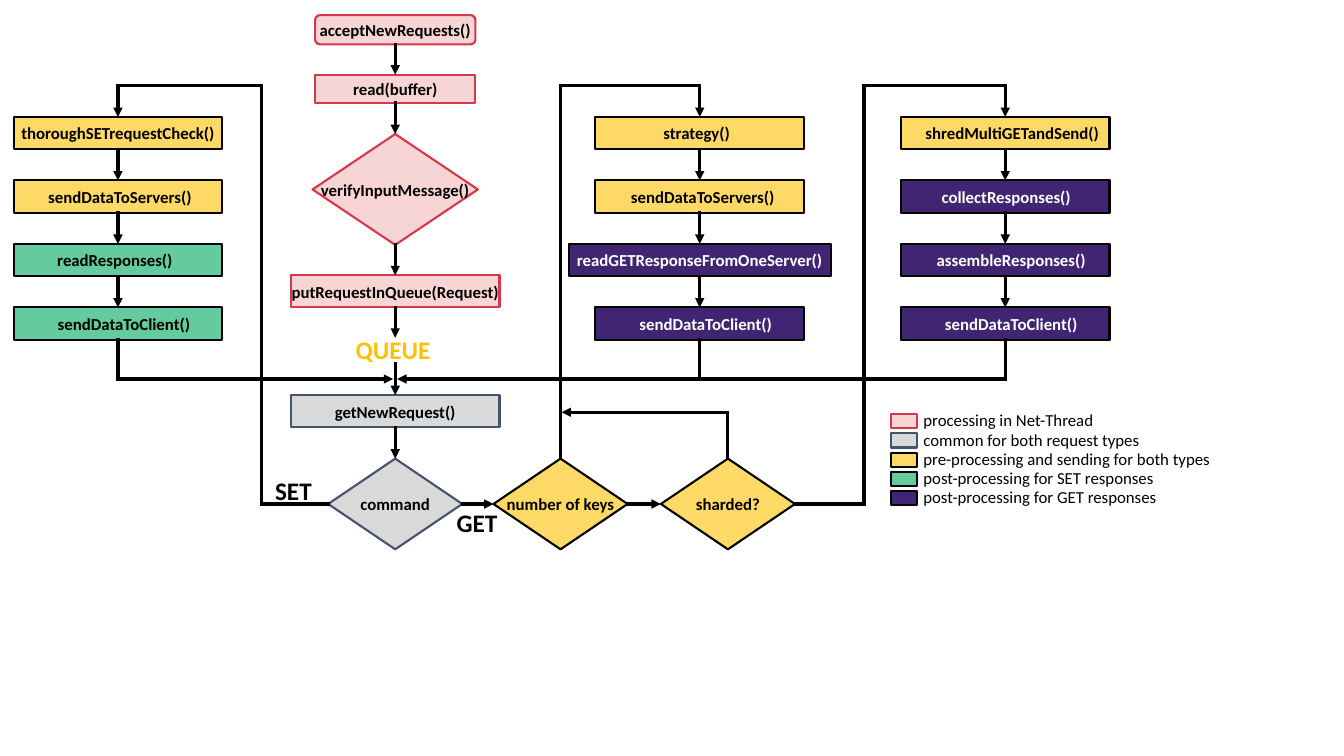
from itertools import pairwise

from lxml.etree import SubElement
from pptx import Presentation
from pptx.dml.color import RGBColor
from pptx.enum.shapes import MSO_CONNECTOR, MSO_SHAPE
from pptx.enum.text import MSO_ANCHOR, MSO_AUTO_SIZE, PP_ALIGN
from pptx.oxml.ns import qn
from pptx.util import Inches, Pt

TOP, LEFT, BOTTOM, RIGHT = range(4)
RECT, ROUND = MSO_SHAPE.RECTANGLE, MSO_SHAPE.ROUNDED_RECTANGLE
CHOICE = MSO_SHAPE.FLOWCHART_DECISION

NET = "F7D5D5", "D43849", "000000"
BOTH = "D9D9D9", "44546A", "000000"
PRE = "FFD966", "000000", "000000"
SET = "63CB9D", "000000", "000000"
GET = "422572", "000000", "FFFFFF"

MAIN_X = 3.92
MERGE_Y = 3.76
LOOP_Y = 0.85
LANES = [
    (1.17, [("thoroughSETrequestCheck()", PRE, 2.07, 0),
            ("sendDataToServers()", PRE, 2.07, 0.02),
            ("readResponses()", SET, 2.07, -0.03),
            ("sendDataToClient()", SET, 2.07, 0.06)]),
    (6.94, [("strategy()", PRE, 2.07, -0.03),
            ("sendDataToServers()", PRE, 2.07, 0.03),
            ("readGETResponseFromOneServer()", GET, 2.6, 0),
            ("sendDataToClient()", GET, 2.07, 0.06)]),
    (9.97, [("shredMultiGETandSend()", PRE, 2.07, 0.07),
            ("collectResponses()", GET, 2.07, 0.01),
            ("assembleResponses()", GET, 2.07, 0.06),
            ("sendDataToClient()", GET, 2.07, 0.06)]),
]
LEGEND = [
    (NET, "processing in Net-Thread", 1.95),
    (BOTH, "common for both request types", 2.4),
    (PRE, "pre-processing and sending for both types", 3.1),
    (SET, "post-processing for SET responses", 2.55),
    (GET, "post-processing for GET responses", 2.6),
]


def color(code):
    """Turn a hex string into a colour."""
    return RGBColor.from_string(code)


def style(para, size, code, bold=True):
    """Set the font of a paragraph."""
    font = para.font
    font.name, font.size, font.bold = "Calibri", Pt(size), bold
    font.color.rgb = color(code)


def box(slide, kind, text, mid, top, width, height, tint, shift=0):
    """Add a filled shape centred on mid, its text moved sideways by shift."""
    shape = slide.shapes.add_shape(kind, Inches(mid - width / 2), Inches(top),
                                   Inches(width), Inches(height))
    fill, edge, ink = tint
    shape.shadow.inherit = False
    shape.fill.solid()
    shape.fill.fore_color.rgb = color(fill)
    shape.line.color.rgb = color(edge)
    shape.line.width = Pt(1.5)
    if text:
        frame = shape.text_frame
        frame.word_wrap = False
        frame.vertical_anchor = MSO_ANCHOR.MIDDLE
        frame.margin_top = frame.margin_bottom = 0
        frame.margin_left = Inches(max(0, 2 * shift))
        frame.margin_right = Inches(max(0, -2 * shift))
        para = frame.paragraphs[0]
        para.text = text
        para.alignment = PP_ALIGN.CENTER
        style(para, 12, ink)
    return shape


def label(slide, text, left, top, width, height, size, code, bold=True):
    """Add a line of free text."""
    area = slide.shapes.add_textbox(Inches(left), Inches(top), Inches(width), Inches(height))
    frame = area.text_frame
    frame.word_wrap = False
    frame.auto_size = MSO_AUTO_SIZE.SHAPE_TO_FIT_TEXT
    para = frame.paragraphs[0]
    para.text = text
    style(para, size, code, bold)


def place(stop):
    """Give the position of a point or of a (shape, side) pair."""
    shape, side = stop
    if isinstance(shape, (int, float)):
        return Inches(shape), Inches(side)
    across = {LEFT: 0, RIGHT: 2}.get(side, 1)
    down = {TOP: 0, BOTTOM: 2}.get(side, 1)
    return shape.left + shape.width * across // 2, shape.top + shape.height * down // 2


def route(slide, *stops, arrow=True):
    """Draw straight lines through the stops, joined to any shapes among them."""
    for start, end in pairwise(stops):
        line = slide.shapes.add_connector(MSO_CONNECTOR.STRAIGHT, *place(start), *place(end))
        line.line.color.rgb = color("000000")
        line.line.width = Pt(2.25)
        if not isinstance(start[0], (int, float)):
            line.begin_connect(*start)
        if not isinstance(end[0], (int, float)):
            line.end_connect(*end)
        props = line.line._get_or_add_ln()
        props.set("cap", "sq")
        if arrow and end is stops[-1]:
            SubElement(props, qn("a:tailEnd"), type="triangle")
        SubElement(line._element.spPr, qn("a:effectLst"))


def chain(slide, shapes):
    """Link shapes downwards with arrows."""
    for upper, lower in pairwise(shapes):
        route(slide, (upper, BOTTOM), (lower, TOP))


def lane(slide, mid, steps):
    """Add a column of linked steps and return its first and last shape."""
    shapes = [box(slide, RECT, text, mid, 1.16 + 0.63 * row, width, 0.32, tint, shift)
              for row, (text, tint, width, shift) in enumerate(steps)]
    chain(slide, shapes)
    return shapes[0], shapes[-1]


def legend(slide):
    """Add the colour key."""
    for row, (tint, text, width) in enumerate(LEGEND):
        box(slide, RECT, "", 8.97, 4.11 + 0.19 * row, 0.26, 0.14, tint)
        label(slide, text, 9.06, 4.02 + 0.19 * row, width, 0.3, 12, "000000", False)


def main():
    """Build the request flow slide."""
    deck = Presentation()
    deck.slide_width, deck.slide_height = Inches(13.33), Inches(7.5)
    slide = deck.slides.add_slide(deck.slide_layouts[6])

    intake = [
        box(slide, ROUND, "acceptNewRequests()", MAIN_X, 0.15, 1.59, 0.29, NET),
        box(slide, RECT, "read(buffer)", MAIN_X, 0.74, 1.59, 0.28, NET),
        box(slide, CHOICE, "verifyInputMessage()", MAIN_X, 1.33, 1.64, 1.1, NET),
        box(slide, RECT, "putRequestInQueue(Request)", MAIN_X, 2.73, 2.07, 0.32, NET),
    ]
    fetch = box(slide, RECT, "getNewRequest()", MAIN_X, 3.92, 2.07, 0.32, BOTH)
    command, keys, shard = (
        box(slide, CHOICE, text, mid, 4.55, 1.33, 0.9, tint)
        for text, mid, tint in [("command", MAIN_X, BOTH), ("number of keys", 5.56, PRE),
                                ("sharded?", 7.22, PRE)])

    chain(slide, intake)
    route(slide, (intake[-1], BOTTOM), (MAIN_X, 3.35))
    route(slide, (MAIN_X, 3.61), (fetch, TOP))
    chain(slide, [fetch, command])
    route(slide, (command, RIGHT), (keys, LEFT))
    route(slide, (keys, RIGHT), (shard, LEFT))

    ends = [lane(slide, mid, steps) for mid, steps in LANES]
    exits = [(command, LEFT, 2.59), (keys, TOP, 5.56), (shard, RIGHT, 8.57)]
    for (shape, side, turn), (mid, _), (first, _) in zip(exits, LANES, ends):
        bends = [(turn, LOOP_Y), (mid, LOOP_Y)]
        if side != TOP:
            bends.insert(0, (turn, 5))
        route(slide, (shape, side), *bends, (first, TOP))
    route(slide, (shard, TOP), (7.22, 4.09), (5.57, 4.09))

    left, middle, right = (last for _, last in ends)
    route(slide, (left, BOTTOM), (1.17, MERGE_Y), (3.9, MERGE_Y))
    route(slide, (right, BOTTOM), (9.97, MERGE_Y), (3.94, MERGE_Y))
    route(slide, (middle, BOTTOM), (6.94, MERGE_Y), arrow=False)

    label(slide, "SET", 2.63, 4.67, 0.65, 0.4, 18, "000000")
    label(slide, "GET", 4.43, 4.98, 0.65, 0.4, 18, "000000")
    label(slide, "QUEUE", 3.43, 3.27, 1, 0.4, 18, "FFC000")
    legend(slide)
    deck.save("out.pptx")


if __name__ == "__main__":
    main()
